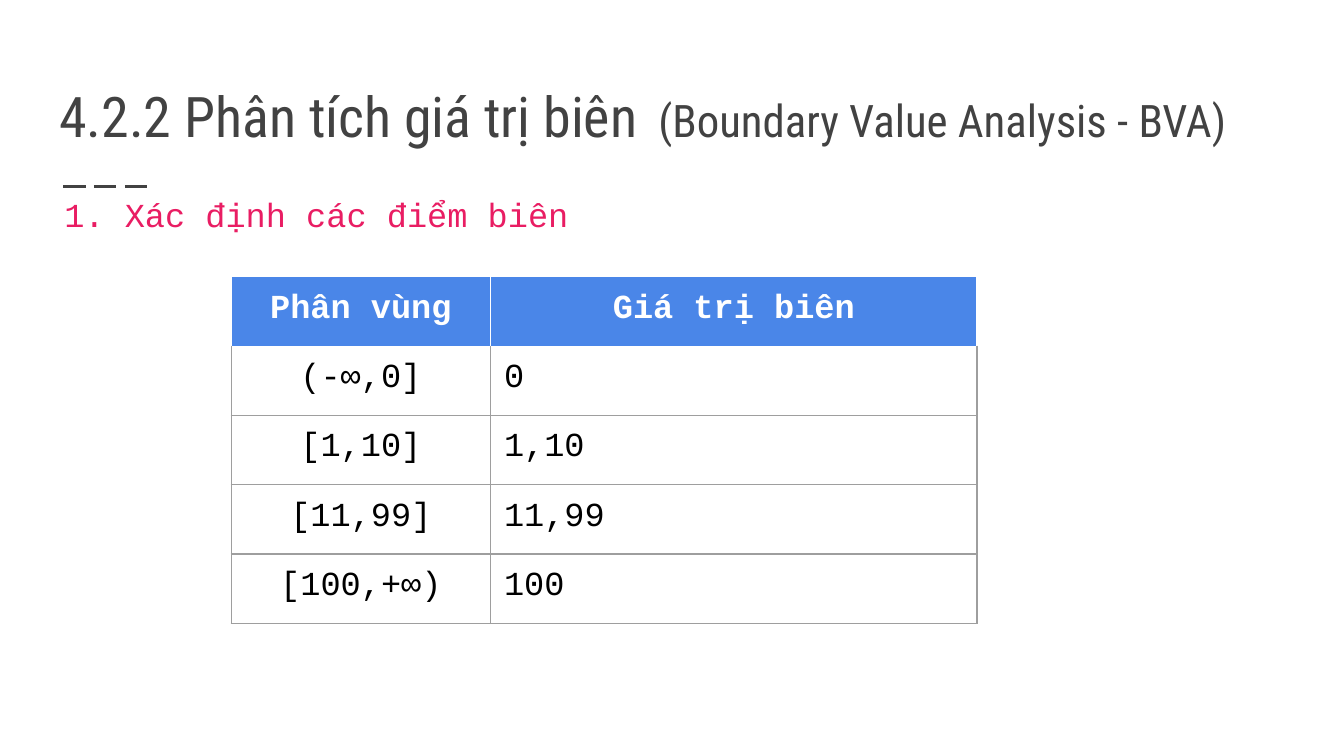
from typing import NamedTuple

from lxml.etree import SubElement
from pptx import Presentation
from pptx.dml.color import RGBColor
from pptx.enum.dml import MSO_LINE
from pptx.enum.shapes import MSO_CONNECTOR
from pptx.enum.text import MSO_ANCHOR, MSO_AUTO_SIZE, PP_ALIGN
from pptx.oxml.ns import qn
from pptx.util import Inches, Pt

MONO, CONDENSED = "Courier New", "Roboto Condensed"
DARK, PINK, BLUE = "424242", "E91D63", "4A86E8"
WHITE, BLACK, GREY = "FFFFFF", "000000", "9E9E9E"


class Run(NamedTuple):
    text: str
    size: float
    font: str
    color: str
    bold: bool = False


class Partition(NamedTuple):
    interval: str
    boundary: str


TITLE = [
    Run("4.2.2 Phân tích giá trị biên", 30, CONDENSED, DARK),
    Run(" ", 18, MONO, DARK),
    Run("(Boundary Value Analysis - BVA)", 24, CONDENSED, DARK),
]
ROWS = [
    Partition("Phân vùng", "Giá trị biên"),
    Partition("(-∞,0]", "0"),
    Partition("[1,10]", "1,10"),
    Partition("[11,99]", "11,99"),
    Partition("[100,+∞)", "100"),
]
COL_WIDTHS = [1.93, 3.62]
TABLE_HEIGHT = 2.58


def rgb(color: str) -> RGBColor:
    return RGBColor.from_string(color)


def set_margins(box) -> None:
    for side in ("left", "top", "right", "bottom"):
        setattr(box, f"margin_{side}", Inches(0.1))


def add_run(p, run: Run) -> None:
    r = p.add_run()
    r.text = run.text
    font = {"size": Pt(run.size), "name": run.font, "bold": run.bold}
    for name, value in font.items():
        setattr(r.font, name, value)
    r.font.color.rgb = rgb(run.color)


def set_borders(cell, colors: dict[str, str]) -> None:
    """Draw cell borders; colors maps L, R, T, B, in that order, to a hex colour."""
    tc_pr = cell._tc.get_or_add_tcPr()
    for side, color in colors.items():
        ln = SubElement(tc_pr, qn(f"a:ln{side}"), w=str(Pt(0.75)))
        fill = SubElement(ln, qn("a:solidFill"))
        SubElement(fill, qn("a:srgbClr"), val=color)


def add_title(slide) -> None:
    title = slide.shapes.title
    box = {"left": 0.34, "top": 0.41, "width": 9.32, "height": 0.8}
    for name, value in box.items():
        setattr(title, name, Inches(value))
    tf = title.text_frame
    set_margins(tf)
    tf.word_wrap = True
    tf.auto_size = MSO_AUTO_SIZE.NONE
    tf.vertical_anchor = MSO_ANCHOR.BOTTOM
    p = tf.paragraphs[0]
    p.alignment = PP_ALIGN.LEFT
    p.line_spacing = 1.0
    for run in TITLE:
        add_run(p, run)


def add_dashes(slide) -> None:
    y = Inches(1.39)
    rule = slide.shapes.add_connector(
        MSO_CONNECTOR.STRAIGHT, Inches(0.47), y, Inches(1.14), y)
    rule.line.color.rgb = rgb(DARK)
    rule.line.width = Pt(1.5)
    rule.line.dash_style = MSO_LINE.LONG_DASH
    SubElement(rule._element.spPr, qn("a:effectLst"))


def add_step(slide) -> None:
    sp = slide.shapes.add_textbox(Inches(0.38), Inches(1.3), Inches(8.88), Inches(0.5))
    tf = sp.text_frame
    set_margins(tf)
    tf.word_wrap = True
    tf.auto_size = MSO_AUTO_SIZE.SHAPE_TO_FIT_TEXT
    p = tf.paragraphs[0]
    p.line_spacing = 1.15
    p.space_after = Pt(12)
    add_run(p, Run("1. Xác định các điểm biên", 18, MONO, PINK))


def fill_cell(cell, text: str, row: int, col: int) -> None:
    header = row == 0
    set_margins(cell)
    side = WHITE if header else GREY
    top = WHITE if row <= 1 else GREY
    set_borders(cell, {"L": side, "R": side, "T": top, "B": side})
    if header:
        cell.fill.solid()
        cell.fill.fore_color.rgb = rgb(BLUE)
    else:
        cell.fill.background()
    p = cell.text_frame.paragraphs[0]
    p.alignment = PP_ALIGN.CENTER if header or col == 0 else PP_ALIGN.LEFT
    add_run(p, Run(text, 18, MONO, WHITE if header else BLACK, header))


def add_partition_table(slide) -> None:
    table = slide.shapes.add_table(
        len(ROWS), len(COL_WIDTHS), Inches(1.72), Inches(2.06),
        Inches(sum(COL_WIDTHS)), Inches(TABLE_HEIGHT)).table
    table.horz_banding = False
    for column, width in zip(table.columns, COL_WIDTHS):
        column.width = Inches(width)
    for i, partition in enumerate(ROWS):
        for j, text in enumerate(partition):
            fill_cell(table.cell(i, j), text, i, j)


def main() -> None:
    prs = Presentation()
    prs.slide_width = Inches(10)
    prs.slide_height = prs.slide_width * 9 // 16
    slide = prs.slides.add_slide(prs.slide_layouts[5])
    slide.background.fill.solid()
    slide.background.fill.fore_color.rgb = rgb(WHITE)
    add_dashes(slide)
    add_title(slide)
    add_step(slide)
    add_partition_table(slide)
    prs.save("out.pptx")


if __name__ == "__main__":
    main()
